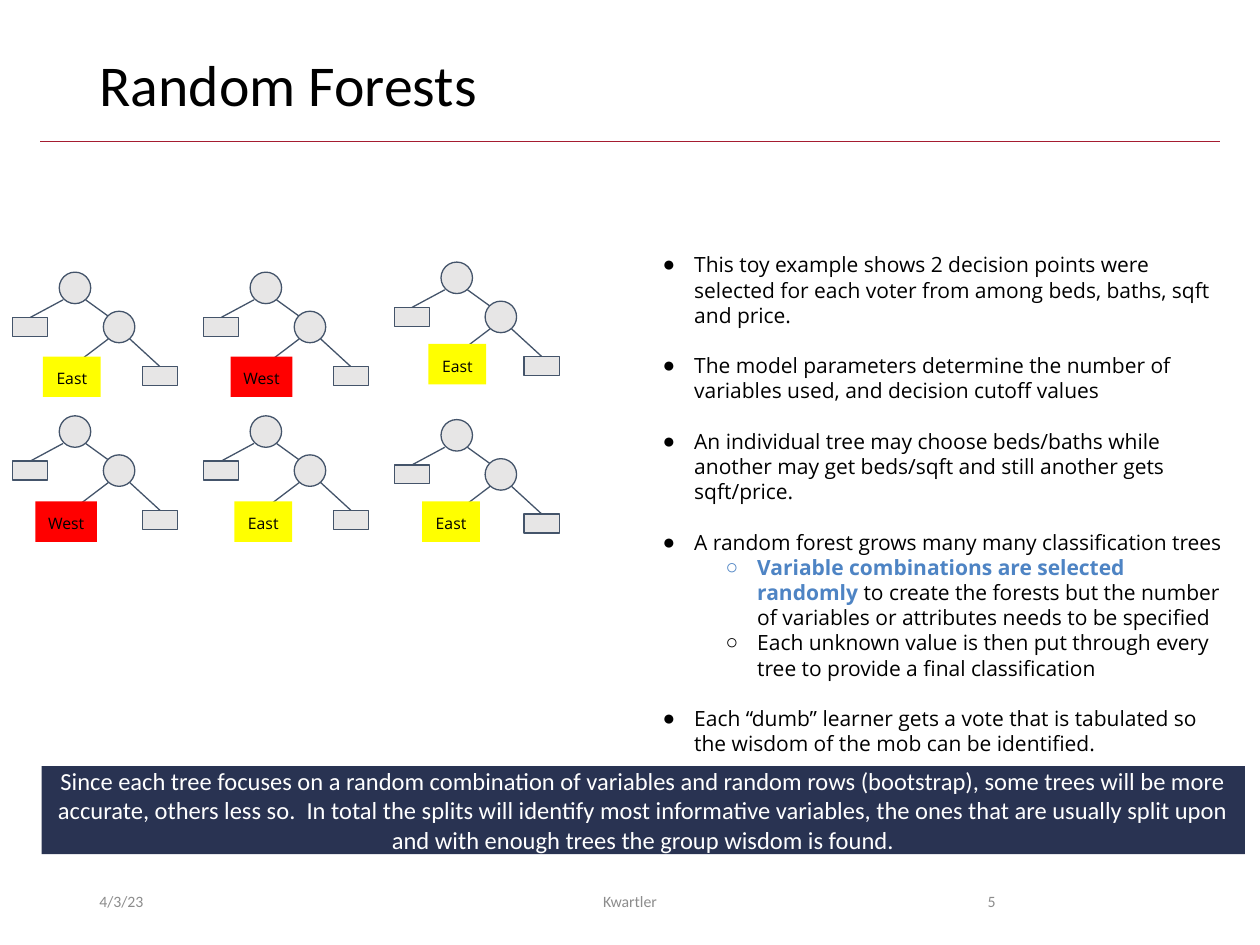
import dataclasses

import lxml.etree
import pptx
import pptx.dml.color
import pptx.enum.shapes
import pptx.enum.text
import pptx.oxml.ns
import pptx.util

Inches = pptx.util.Inches
Pt = pptx.util.Pt
SHAPES = pptx.enum.shapes.MSO_SHAPE
ALIGN = pptx.enum.text.PP_ALIGN
ANCHOR = pptx.enum.text.MSO_ANCHOR


@dataclasses.dataclass(frozen=True)
class Theme:
    """Colours, fonts and type sizes of the slide."""
    black: str = "000000"
    white: str = "FFFFFF"
    grey: str = "8C8C8C"
    rule: str = "A51C30"
    banner: str = "293352"
    accent: str = "4E84C4"
    node: str = "E7E6E6"
    node_line: str = "44546A"
    east: str = "FFFF00"
    west: str = "FF0000"
    heading_font: str = "Calibri"
    body_font: str = "Open Sans"
    title_size: float = 33
    banner_size: float = 14
    body_size: float = 12
    small_size: float = 9


def rgb(colour):
    """Turn a hex string into a colour value."""
    return pptx.dml.color.RGBColor.from_string(colour)


def box(left, top, width, height):
    """Return a position and size as lengths."""
    return [Inches(value) for value in (left, top, width, height)]


def add_text(paragraph, text, font, size, colour, bold=False, align=ALIGN.LEFT):
    """Add a formatted run to a paragraph."""
    paragraph.alignment = align
    run = paragraph.add_run()
    run.text = text
    run.font.name = font
    run.font.size = Pt(size)
    run.font.bold = bold
    run.font.color.rgb = rgb(colour)


def set_bullet(paragraph, character, margin, indent):
    """Give a paragraph a hanging bullet."""
    properties = paragraph._p.get_or_add_pPr()
    properties.set("marL", str(Inches(margin)))
    properties.set("indent", str(Inches(indent)))
    bullet = lxml.etree.SubElement(properties, pptx.oxml.ns.qn("a:buChar"))
    bullet.set("char", character)


class SlideBuilder:
    """Holds the theme and the current slide."""

    def __init__(self, slide, theme):
        self.slide = slide
        self.theme = theme

    def title(self, text, bounds):
        """Fill and place the title placeholder."""
        shape = self.slide.shapes.title
        shape.left, shape.top, shape.width, shape.height = box(*bounds)
        frame = shape.text_frame
        frame.auto_size = pptx.enum.text.MSO_AUTO_SIZE.NONE
        frame.vertical_anchor = ANCHOR.TOP
        frame.paragraphs[0].line_spacing = 0.9
        add_text(frame.paragraphs[0], text, self.theme.heading_font,
                 self.theme.title_size, self.theme.black)

    def bullets(self, items, bounds):
        """Fill the body placeholder with (level, gap, runs) items."""
        shape = self.slide.placeholders[1]
        shape.left, shape.top, shape.width, shape.height = box(*bounds)
        frame = shape.text_frame
        frame.auto_size = pptx.enum.text.MSO_AUTO_SIZE.NONE
        frame.vertical_anchor = ANCHOR.TOP
        frame.margin_top = frame.margin_bottom = Inches(0.1)
        for index, (level, gap, runs) in enumerate(items):
            paragraph = frame.add_paragraph() if index else frame.paragraphs[0]
            paragraph.level = level
            paragraph.line_spacing = 1.0
            paragraph.space_before = Pt(gap)
            paragraph.space_after = Pt(0)
            set_bullet(paragraph, "●○"[level], 0.5 + 0.5 * level, -0.25)
            for text, colour, bold in runs:
                add_text(paragraph, text, self.theme.body_font,
                         self.theme.body_size, colour, bold=bold)

    def caption(self, text, bounds, align):
        """Add a small grey footer text."""
        frame = self.slide.shapes.add_textbox(*box(*bounds)).text_frame
        frame.word_wrap = True
        frame.vertical_anchor = ANCHOR.MIDDLE
        add_text(frame.paragraphs[0], text, self.theme.heading_font,
                 self.theme.small_size, self.theme.grey, align=align)

    def shape(self, kind, bounds, fill, line=None, parent=None):
        """Add a filled shape to the slide or to a group."""
        shape = (parent or self.slide).shapes.add_shape(kind, *box(*bounds))
        shape.shadow.inherit = False
        shape.fill.solid()
        shape.fill.fore_color.rgb = rgb(fill)
        if line:
            shape.line.color.rgb = rgb(line)
            shape.line.width = Pt(0.75)
        else:
            shape.line.fill.background()
        return shape

    def line(self, start, end, colour, width, parent=None):
        """Add a straight line to the slide or to a group."""
        connector = (parent or self.slide).shapes.add_connector(
            pptx.enum.shapes.MSO_CONNECTOR.STRAIGHT,
            *[Inches(value) for value in (*start, *end)])
        connector.line.color.rgb = rgb(colour)
        connector.line.width = Pt(width)
        lxml.etree.SubElement(connector._element.spPr, pptx.oxml.ns.qn("a:effectLst"))

    def banner(self, text, bounds):
        """Add the dark summary bar."""
        frame = self.shape(SHAPES.RECTANGLE, bounds, self.theme.banner).text_frame
        frame.word_wrap = True
        frame.vertical_anchor = ANCHOR.MIDDLE
        add_text(frame.paragraphs[0], text, self.theme.heading_font,
                 self.theme.banner_size, self.theme.white, align=ALIGN.CENTER)

    def tree(self, left, top):
        """Add one grouped decision tree."""
        group = self.slide.shapes.add_group_shape()
        branches = [((0.4, 0.22), (0.14, 0.36)), ((0.58, 0.22), (0.76, 0.35)),
                    ((0.76, 0.53), (0.47, 0.75)), ((0.93, 0.53), (1.17, 0.75))]
        for start, end in branches:
            self.line((left + start[0], top + start[1]), (left + end[0], top + end[1]),
                      self.theme.node_line, 0.75, group)
        nodes = [(SHAPES.OVAL, 0.37, 0, 0.25, 0.25), (SHAPES.OVAL, 0.72, 0.31, 0.25, 0.25),
                 (SHAPES.RECTANGLE, 0, 0.36, 0.28, 0.15),
                 (SHAPES.RECTANGLE, 1.03, 0.75, 0.28, 0.15)]
        for kind, across, down, width, height in nodes:
            self.shape(kind, (left + across, top + down, width, height),
                       self.theme.node, self.theme.node_line, group)

    def vote(self, text, left, top):
        """Add the coloured vote of a tree."""
        fill, width = {"East": (self.theme.east, 0.46), "West": (self.theme.west, 0.49)}[text]
        frame = self.shape(SHAPES.RECTANGLE, (left, top, width, 0.32), fill).text_frame
        frame.word_wrap = False
        frame.margin_top = frame.margin_bottom = Inches(0.1)
        frame.vertical_anchor = ANCHOR.TOP
        add_text(frame.paragraphs[0], text, self.theme.body_font,
                 self.theme.small_size, self.theme.black, align=ALIGN.CENTER)


def main():
    """Build and save the slide."""
    presentation = pptx.Presentation()
    presentation.slide_width, presentation.slide_height = Inches(10), Inches(7.5)
    theme = Theme()
    slide = presentation.slides.add_slide(presentation.slide_layouts[1])
    builder = SlideBuilder(slide, theme)

    builder.line((0.32, 1.12), (9.68, 1.12), theme.rule, 0.5)
    builder.title("Random Forests", (0.69, 0.4, 8.62, 0.65))
    builder.banner(
        "Since each tree focuses on a random combination of variables and random rows "
        "(bootstrap), some trees will be more accurate, others less so.  In total the splits "
        "will identify most informative variables, the ones that are usually split upon and "
        "with enough trees the group wisdom is found.", (0.33, 6.08, 9.55, 0.7))

    gap = 14.4
    points = [
        (0, 0, "This toy example shows 2 decision points were selected for each voter "
               "from among beds, baths, sqft and price."),
        (0, gap, "The model parameters determine the number of variables used, "
                 "and decision cutoff values"),
        (0, gap, "An individual tree may choose beds/baths while another may get beds/sqft "
                 "and still another gets sqft/price."),
        (0, gap, "A random forest grows many many classification trees"),
        (1, 0, "to create the forests but the number of variables or attributes "
               "needs to be specified"),
        (1, 0, "Each unknown value is then put through every tree to provide "
               "a final classification"),
        (0, gap, "Each “dumb” learner gets a vote that is tabulated so the wisdom "
                 "of the mob can be identified."),
    ]
    items = [(level, space, [(text, theme.black, False)]) for level, space, text in points]
    items[4][2].insert(0, ("Variable combinations are selected randomly ", theme.accent, True))
    builder.bullets(items, (4.91, 1.9, 4.96, 3.37))

    tree_tops = [(2.16, 2.16, 2.08), (3.3, 3.3, 3.33)]
    for tops in tree_tops:
        for column, top in enumerate(tops):
            builder.tree(0.1 + 1.515 * column, top)
    for vote in [("East", 0.34, 2.83), ("West", 1.83, 2.83), ("East", 3.4, 2.73),
                 ("West", 0.28, 3.98), ("East", 1.86, 3.98), ("East", 3.35, 3.98)]:
        builder.vote(*vote)

    for text, left, width, align in [("4/3/23", 0.69, 2.25, ALIGN.LEFT),
                                     ("Kwartler", 3.31, 3.38, ALIGN.CENTER),
                                     ("5", 7.06, 0.94, ALIGN.RIGHT)]:
        builder.caption(text, (left, 6.95, width, 0.4), align)
    presentation.save("out.pptx")


main()
